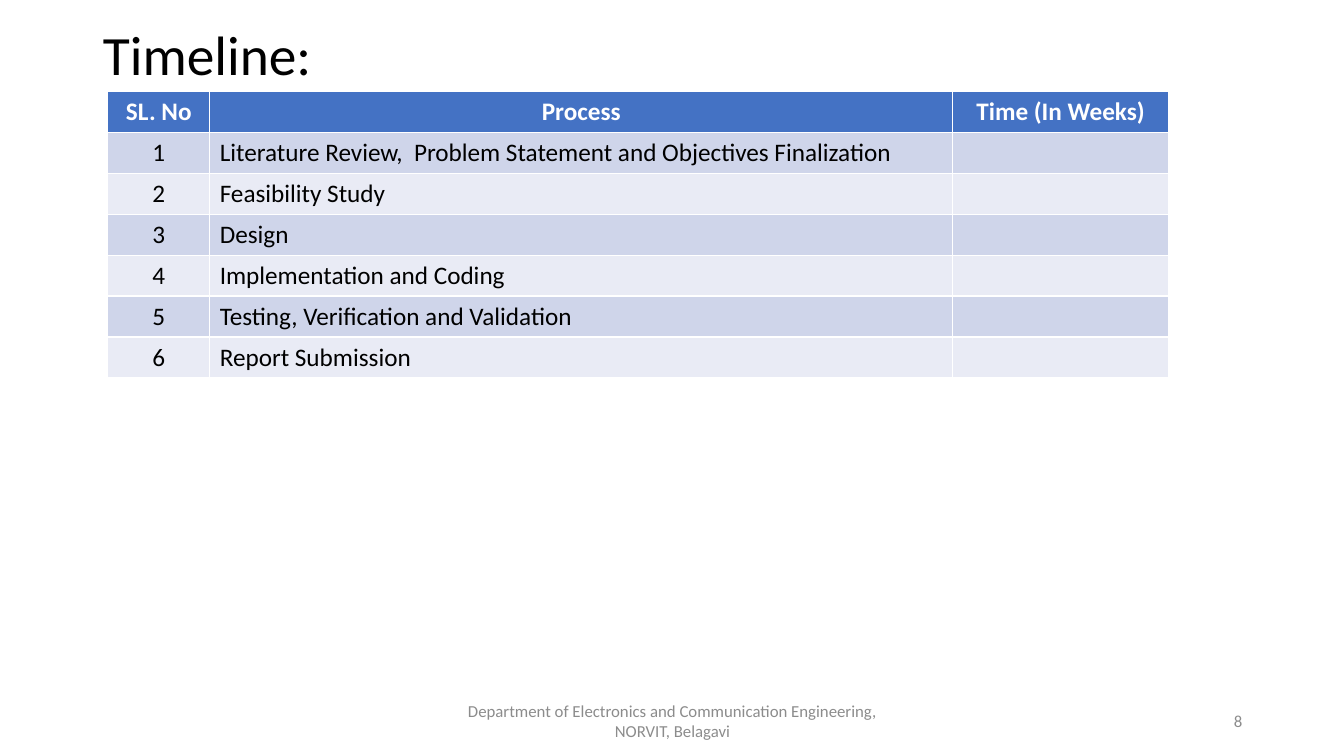
from pptx import Presentation
from pptx.dml.color import RGBColor
from pptx.enum.text import MSO_ANCHOR, MSO_AUTO_SIZE, PP_ALIGN
from pptx.util import Inches, Pt

COLORS = {
    "header": "4472C4",
    "band_dark": "CFD5EA",
    "band_light": "E9EBF5",
    "white": "FFFFFF",
    "black": "000000",
    "footer": "8C8C8C",
}
FONT = "Calibri"
HEADINGS = ["SL. No", "Process", "Time (In Weeks)"]
PROCESSES = [
    "Literature Review,  Problem Statement and Objectives Finalization",
    "Feasibility Study",
    "Design",
    "Implementation and Coding",
    "Testing, Verification and Validation",
    "Report Submission",
]
COLUMN_WIDTHS = [1.01, 7.37, 2.14]


def write(frame, text, size, color, align=PP_ALIGN.LEFT, bold=False):
    para = frame.paragraphs[0]
    para.alignment = align
    span = para.add_run()
    span.text = text
    span.font.name = FONT
    span.font.size = Pt(size)
    span.font.bold = bold
    span.font.color.rgb = RGBColor.from_string(COLORS[color])
    return para


def add_title(page, box, text):
    title = page.shapes.title
    title.left, title.top, title.width, title.height = map(Inches, box)
    frame = title.text_frame
    frame.auto_size = MSO_AUTO_SIZE.NONE
    frame.vertical_anchor = MSO_ANCHOR.MIDDLE
    para = write(frame, text, 39.6, "black")
    para.line_spacing = 0.9
    para.space_before = Pt(0)


def add_timeline(page, box):
    rows = [HEADINGS] + [[str(number), process, ""]
                         for number, process in enumerate(PROCESSES, 1)]
    table = page.shapes.add_table(len(rows), len(HEADINGS), *map(Inches, box)).table
    for column, width in zip(table.columns, COLUMN_WIDTHS):
        column.width = Inches(width)

    for row_index, values in enumerate(rows):
        is_header = row_index == 0
        band = "band_dark" if row_index % 2 else "band_light"
        for column_index, text in enumerate(values):
            cell = table.cell(row_index, column_index)
            cell.fill.solid()
            cell.fill.fore_color.rgb = RGBColor.from_string(
                COLORS["header" if is_header else band])
            if text:
                centered = is_header or column_index == 0
                write(cell.text_frame, text, 18, "white" if is_header else "black",
                      PP_ALIGN.CENTER if centered else PP_ALIGN.LEFT, is_header)


def add_footer_text(page, box, text, align):
    frame = page.shapes.add_textbox(*map(Inches, box)).text_frame
    frame.word_wrap = True
    frame.vertical_anchor = MSO_ANCHOR.MIDDLE
    write(frame, text, 12, "footer", align)


def main():
    deck = Presentation()
    deck.slide_width, deck.slide_height = Inches(13.33), Inches(7.5)
    page = deck.slides.add_slide(deck.slide_layouts[5])

    # Heading and table
    add_title(page, (0.92, 0.4, 11.5, 0.35), "Timeline:")
    add_timeline(page, (1.07, 0.91, sum(COLUMN_WIDTHS), 2.84))

    # Footer and page number
    add_footer_text(page, (4.42, 6.95, 4.5, 0.4),
                    "Department of Electronics and Communication Engineering, "
                    "NORVIT, Belagavi", PP_ALIGN.CENTER)
    add_footer_text(page, (9.42, 6.95, 3, 0.4), "8", PP_ALIGN.RIGHT)

    deck.save("out.pptx")


if __name__ == "__main__":
    main()
